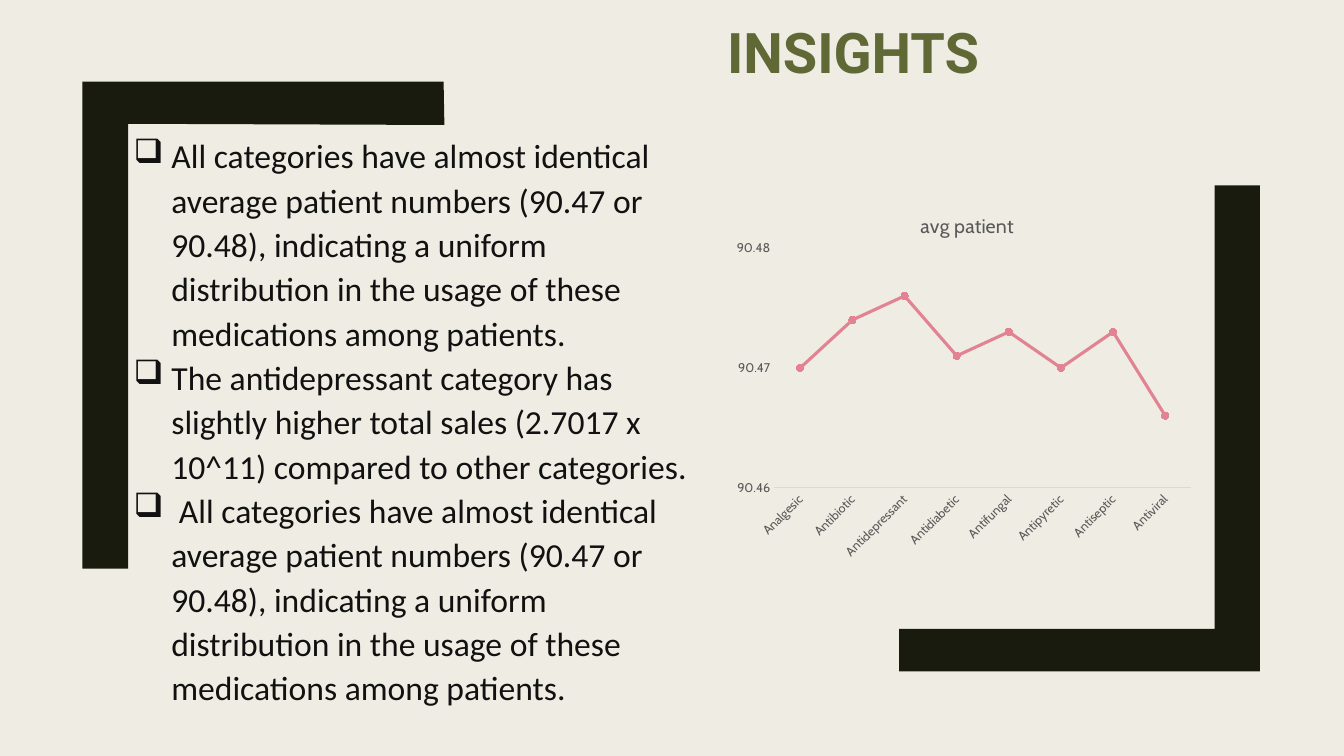
from dataclasses import dataclass

from lxml import etree
from pptx import Presentation
from pptx.chart.data import CategoryChartData
from pptx.dml.color import RGBColor
from pptx.enum import chart as ch, text as tx
from pptx.oxml import parse_xml
from pptx.oxml.ns import nsdecls, qn
from pptx.util import Cm, Pt

HUES = {
    "page": "EFEDE3", "frame": "191B0E", "title": "606836", "body": "111111",
    "line": "E28394", "label": "595959", "axis": "D9D9D9",
}
UNIFORM = ("All categories have almost identical average patient numbers "
           "(90.47 or 90.48), indicating a uniform distribution in the usage "
           "of these medications among patients.")
POINTS = [
    UNIFORM,
    "The antidepressant category has slightly higher total sales "
    "(2.7017 x 10^11) compared to other categories.",
    " " + UNIFORM,
]
MEANS = {
    "Analgesic": 90.470, "Antibiotic": 90.474, "Antidepressant": 90.476,
    "Antidiabetic": 90.471, "Antifungal": 90.473, "Antipyretic": 90.470,
    "Antiseptic": 90.473, "Antiviral": 90.466,
}
PLOT = {"x": 0.097, "y": 0.124, "w": 0.871, "h": 0.554}


@dataclass
class Box:
    left: float
    top: float
    width: float
    height: float

    def cm(self) -> tuple:
        return tuple(Cm(n) for n in (self.left, self.top, self.width, self.height))


@dataclass
class Corner:
    """An L-shaped bracket, given by its outline in centimetres."""
    outline: list


CORNERS = [
    Corner([(30.61, 4.67), (31.75, 4.67), (31.75, 16.92),
            (22.66, 16.92), (22.66, 15.85), (30.61, 15.85)]),
    Corner([(3.23, 14.33), (2.08, 14.33), (2.08, 2.06),
            (11.18, 2.06), (11.2, 3.15), (3.23, 3.12)]),
]


def hue(name: str) -> RGBColor:
    return RGBColor.from_string(HUES[name])


def style(font, size: float, face: str, tint: str, bold: bool = False) -> None:
    font.size, font.name, font.bold = Pt(size), face, bold
    font.color.rgb = hue(tint)


def paint(fill, tint: str) -> None:
    fill.solid()
    fill.fore_color.rgb = hue(tint)


def write(slide, box: Box, lines: list, *, size: float, face: str, tint: str,
          bold: bool = False, align=tx.PP_ALIGN.LEFT,
          anchor=tx.MSO_ANCHOR.TOP, gap: float = 1, mark: str = "") -> None:
    frame = slide.shapes.add_textbox(*box.cm()).text_frame
    frame.word_wrap = True
    frame.vertical_anchor = anchor
    for i, line in enumerate(lines):
        para = frame.add_paragraph() if i else frame.paragraphs[0]
        para.text = line
        para.alignment, para.line_spacing = align, gap
        if mark:
            props = para._p.get_or_add_pPr()
            props.set("marL", str(Cm(0.95)))
            props.set("indent", str(-Cm(0.95)))
            etree.SubElement(props, qn("a:buChar"), char=mark)
        style(para.runs[0].font, size, face, tint, bold)


def bracket(slide, corner: Corner) -> None:
    first, *rest = [(Cm(x), Cm(y)) for x, y in corner.outline]
    pen = slide.shapes.build_freeform(*first)
    pen.add_line_segments(rest, close=True)
    shape = pen.convert_to_shape()
    shape.shadow.inherit = False
    paint(shape.fill, "frame")
    shape.line.fill.background()


def place(chart) -> None:
    """Fix the inner plot area of the chart."""
    area = chart._chartSpace.chart.plotArea
    for old in area.findall(qn("c:layout")):
        area.remove(old)
    spots = "".join(f'<c:{k} val="{v}"/>' for k, v in PLOT.items())
    area.insert(0, parse_xml(
        f'<c:layout {nsdecls("c")}><c:manualLayout>'
        '<c:layoutTarget val="inner"/><c:xMode val="edge"/>'
        f'<c:yMode val="edge"/>{spots}</c:manualLayout></c:layout>'))


def graph(slide, box: Box) -> None:
    data = CategoryChartData(number_format="0.00")
    data.categories = list(MEANS)
    data.add_series("avg patient", list(MEANS.values()))
    chart = slide.shapes.add_chart(
        ch.XL_CHART_TYPE.LINE_MARKERS_STACKED, *box.cm(), data).chart
    chart.has_legend = False
    style(chart.font, 10, "Cabin", "label")

    chart.has_title = True
    chart.chart_title.include_in_layout = False
    head = chart.chart_title.text_frame
    head.text = "avg patient"
    style(head.paragraphs[0].runs[0].font, 14, "Cabin", "label")

    cats, vals = chart.category_axis, chart.value_axis
    for axis in (cats, vals):
        axis.has_major_gridlines = False
        axis.major_tick_mark = axis.minor_tick_mark = ch.XL_TICK_MARK.NONE
        style(axis.tick_labels.font, 9, "Cabin", "label")
    cats.format.line.color.rgb = hue("axis")
    cats.format.line.width = Pt(0.75)
    cats._element.txPr.find(qn("a:bodyPr")).set("rot", str(-45 * 60000))
    vals.format.line.fill.background()
    vals.minimum_scale, vals.maximum_scale, vals.major_unit = 90.46, 90.48, 0.01
    vals.tick_labels.number_format = "0.00"
    vals.tick_labels.number_format_is_linked = False

    chart.plots[0].vary_by_categories = False
    row = chart.plots[0].series[0]
    row.smooth = False
    row.format.line.color.rgb = hue("line")
    row.format.line.width = Pt(2.25)
    row.marker.style, row.marker.size = ch.XL_MARKER_STYLE.CIRCLE, 5
    paint(row.marker.format.fill, "line")
    row.marker.format.line.color.rgb = hue("line")
    place(chart)


def main() -> None:
    deck = Presentation()
    deck.slide_width, deck.slide_height = Cm(33.87), Cm(19.05)
    slide = deck.slides.add_slide(deck.slide_layouts[6])
    paint(slide.background.fill, "page")
    for corner in CORNERS:
        bracket(slide, corner)
    write(slide, Box(15, 0, 13, 2.29), ["INSIGHTS"], size=40, face="Roboto",
          tint="title", bold=True, align=tx.PP_ALIGN.CENTER,
          anchor=tx.MSO_ANCHOR.BOTTOM, gap=0.89)
    write(slide, Box(3.12, 3.18, 15.06, 14.3), POINTS, size=24,
          face="Calibri", tint="body", gap=1.1, mark="❑")
    graph(slide, Box(18.34, 4.9, 12.07, 10.9))
    deck.save("out.pptx")


if __name__ == "__main__":
    main()
